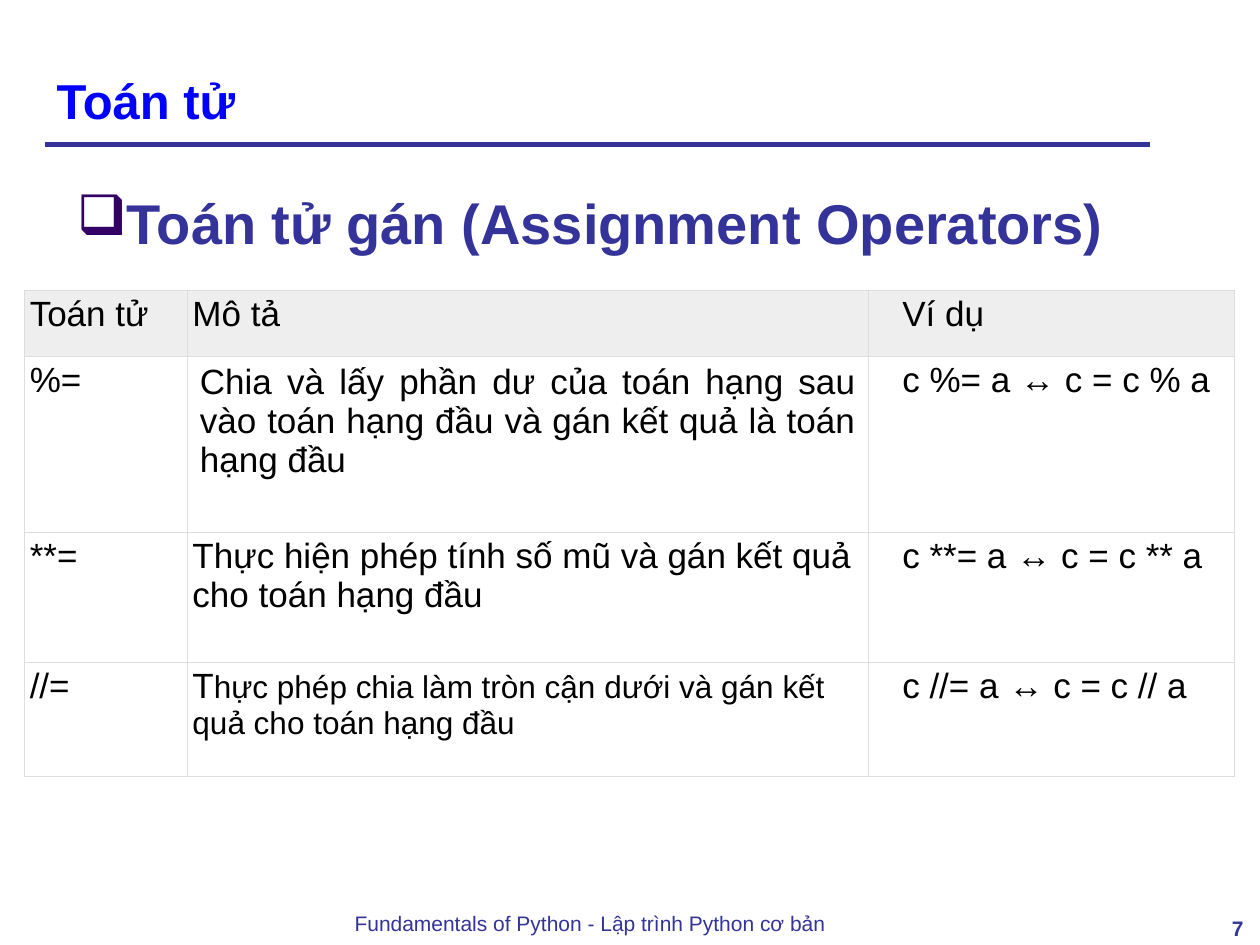
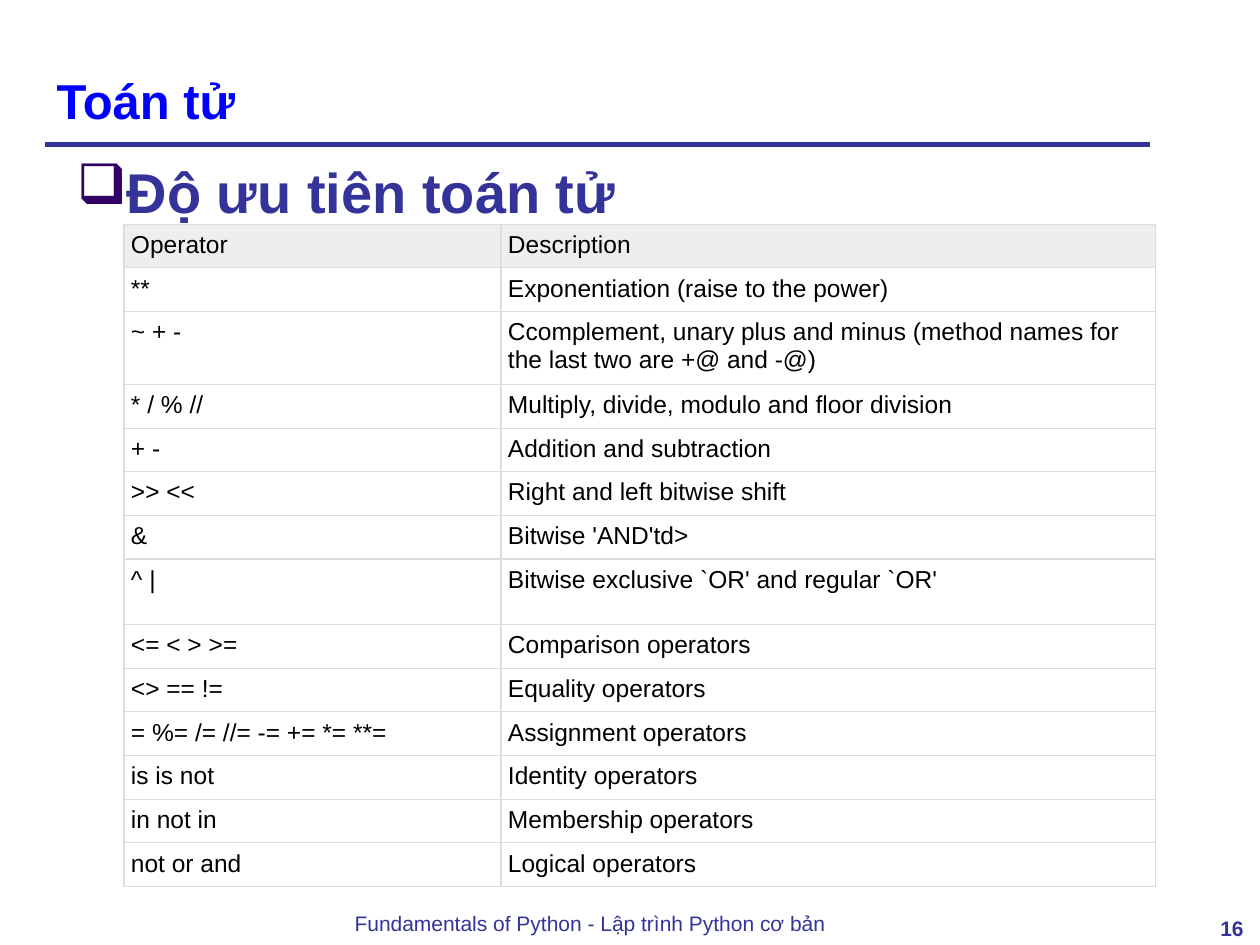
from dataclasses import dataclass

import pptx
import pptx.dml.color
import pptx.enum.shapes
import pptx.enum.text
import pptx.oxml
import pptx.oxml.ns
import pptx.util
from lxml import etree

Cm = pptx.util.Cm
Pt = pptx.util.Pt
Align = pptx.enum.text.PP_ALIGN
Anchor = pptx.enum.text.MSO_ANCHOR


@dataclass(frozen=True)
class Theme:
    """Colours (RRGGBB), type sizes and line widths (points) of the deck."""
    font: str = "Arial"
    title: str = "0000FF"
    accent: str = "333399"
    bullet: str = "330066"
    ink: str = "000000"
    head_fill: str = "EEEEEE"
    grid: str = "DDDDDD"
    title_size: int = 28
    heading_size: int = 32
    footer_size: int = 12
    operator_size: int = 20
    detail_size: int = 18
    priority_size: int = 14
    rule_width: float = 3
    grid_width: float = 0.75


@dataclass(frozen=True)
class Span:
    """A piece of text that differs from its paragraph."""
    text: str
    bold: bool = False
    size: int = 0


@dataclass(frozen=True)
class Cell:
    """Content of a table cell; margins are left, top, right, bottom in cm."""
    spans: tuple
    margins: tuple
    align: Align = Align.LEFT


THEME = Theme()
FOOTER = "Fundamentals of Python - Lập trình Python cơ bản"
TITLE = "Toán tử"
LINE_BOX = (0.91, 2.92, 22.28)
TITLE_BOX = (0.89, 0.53, 22, 2.21)
FOOTER_BOX = (1.4, 18.24, 21, 0.61)
NUMBER_BOX = (23.32, 18.34, 2, 0.61)
HEADING_SIZE = (22, 14.4)


def rgb(value):
    """Turn RRGGBB into a colour."""
    return pptx.dml.color.RGBColor.from_string(value)


def add_child(parent, tag, **attributes):
    """Append a DrawingML element with the given attributes."""
    return etree.SubElement(parent, pptx.oxml.ns.qn(tag), attributes)


def style(para, size, colour, bold=False, align=Align.LEFT):
    """Set the font and alignment of a paragraph."""
    para.alignment = align
    para.font.name = THEME.font
    para.font.size = Pt(size)
    para.font.bold = bold
    para.font.color.rgb = rgb(colour)


def add_text(page, box, text, size, colour, bold=False, align=Align.LEFT, anchor=Anchor.TOP):
    """Place one paragraph in a box given in cm and return the paragraph."""
    frame = page.shapes.add_textbox(*map(Cm, box)).text_frame
    frame.word_wrap = True
    frame.vertical_anchor = anchor
    para = frame.paragraphs[0]
    para.add_run().text = text
    style(para, size, colour, bold, align)
    return para


def add_rule(page, box):
    """Draw the line below the title; box is left, top, width."""
    left, top, width = box
    rule = page.shapes.add_connector(pptx.enum.shapes.MSO_CONNECTOR.STRAIGHT,
                                     Cm(left), Cm(top), Cm(left + width), Cm(top))
    rule.line.color.rgb = rgb(THEME.accent)
    rule.line.width = Pt(THEME.rule_width)
    add_child(rule._element.spPr, "a:effectLst")


def add_heading(page, box, text):
    """Place the large bulleted heading."""
    para = add_text(page, box, text, THEME.heading_size, THEME.accent, bold=True)
    para.line_spacing = 1.25
    properties = para._p.get_or_add_pPr()
    indent = Cm(0.95)
    properties.set("marL", str(indent))
    properties.set("indent", str(-indent))
    bullet = pptx.oxml.parse_xml(
        f'<a:buClr {pptx.oxml.ns.nsdecls("a")}><a:srgbClr val="{THEME.bullet}"/></a:buClr>')
    following = properties.find(pptx.oxml.ns.qn("a:defRPr"))
    character = etree.Element(pptx.oxml.ns.qn("a:buChar"), char="❑")
    for part in (bullet, character):
        if following is None:
            properties.append(part)
        else:
            following.addprevious(part)


def add_borders(cell):
    """Draw the thin grid line on all four sides of a cell."""
    properties = cell._tc.get_or_add_tcPr()
    for position, side in enumerate(("a:lnL", "a:lnR", "a:lnT", "a:lnB")):
        line = etree.Element(pptx.oxml.ns.qn(side), w=str(Pt(THEME.grid_width)))
        add_child(add_child(line, "a:solidFill"), "a:srgbClr", val=THEME.grid)
        properties.insert(position, line)


def fill_cell(cell, content, size, is_head):
    """Write and format one table cell."""
    cell.margin_left, cell.margin_top, cell.margin_right, cell.margin_bottom = map(
        Cm, content.margins)
    para = cell.text_frame.paragraphs[0]
    for span in content.spans:
        run = para.add_run()
        run.text = span.text
        if span.bold:
            run.font.bold = True
        if span.size:
            run.font.size = Pt(span.size)
    style(para, size, THEME.ink, align=content.align)
    if is_head:
        cell.fill.solid()
        cell.fill.fore_color.rgb = rgb(THEME.head_fill)
    else:
        cell.fill.background()
    add_borders(cell)


def add_grid(page, corner, widths, heights, rows, size):
    """Build a table from rows of Cell, with a grey first row."""
    box = (*corner, sum(widths), sum(heights))
    table = page.shapes.add_table(len(heights), len(widths), *map(Cm, box)).table
    table.first_row = table.horz_banding = False
    for column, width in zip(table.columns, widths):
        column.width = Cm(width)
    for row, height in zip(table.rows, heights):
        row.height = Cm(height)
    for index, contents in enumerate(rows):
        for cell, content in zip(table.rows[index].cells, contents):
            fill_cell(cell, content, size, index == 0)


def add_page(deck, number, heading, heading_top):
    """Add a page with title, rule, footer, number and heading."""
    page = deck.slides.add_slide(deck.slide_layouts[6])
    add_rule(page, LINE_BOX)
    add_text(page, FOOTER_BOX, FOOTER, THEME.footer_size, THEME.accent, align=Align.CENTER)
    add_text(page, TITLE_BOX, TITLE, THEME.title_size, THEME.title, bold=True,
             anchor=Anchor.BOTTOM)
    add_text(page, NUMBER_BOX, str(number), THEME.footer_size, THEME.accent, bold=True,
             align=Align.RIGHT)
    add_heading(page, (1.3, heading_top, *HEADING_SIZE), heading)
    return page


def add_assignment_table(page, corner):
    """Table of assignment operators with their meaning and an example."""
    tight = (0.1, 0.1, 0.1, 0.1)
    indented = (0.69, 0.1, 0.1, 0.1)
    roomy = (0.25, 0.13, 0.25, 0.13)
    meanings = {
        "%=": Cell((Span("Chia và lấy phần dư của toán hạng sau vào toán hạng đầu "
                         "và gán kết quả là toán hạng đầu"),), roomy, Align.JUSTIFY),
        "**=": Cell((Span("Thực hiện phép tính số mũ và gán kết quả cho toán hạng đầu"),), tight),
        "//=": Cell((Span("T"), Span("hực phép chia làm tròn cận dưới và gán kết quả "
                                     "cho toán hạng đầu", size=THEME.detail_size)), tight),
    }
    rows = [[Cell((Span("Toán tử"),), tight), Cell((Span("Mô tả"),), tight),
             Cell((Span("Ví dụ"),), indented)]]
    for operator, meaning in meanings.items():
        example = (Span(f"c {operator} a "), Span("↔", bold=True),
                   Span(f" c = c {operator[:-1]} a"))
        rows.append([Cell((Span(operator),), tight), meaning, Cell(example, indented)])
    add_grid(page, corner, (3.28, 13.72, 7.39), (1.33, 3.55, 2.62, 2.31), rows,
             THEME.operator_size)


def add_priority_table(page, corner):
    """Table of operators from highest to lowest priority."""
    margins = (0.14, 0.14, 0.14, 0.14)
    entries = (
        ("Operator", "Description"),
        ("**", "Exponentiation (raise to the power)"),
        ("~ + -", "Ccomplement, unary plus and minus (method names for the last two "
                  "are +@ and -@)"),
        ("* / % //", "Multiply, divide, modulo and floor division"),
        ("+ -", "Addition and subtraction"),
        (">> <<", "Right and left bitwise shift"),
        ("&", "Bitwise 'AND'td>"),
        ("^ |", "Bitwise exclusive `OR' and regular `OR'"),
        ("<= < > >=", "Comparison operators"),
        ("<> == !=", "Equality operators"),
        ("= %= /= //= -= += *= **=", "Assignment operators"),
        ("is is not", "Identity operators"),
        ("in not in", "Membership operators"),
        ("not or and", "Logical operators"),
    )
    tall_rows = {"~ + -": 1.47, "^ |": 1.32}
    heights = [tall_rows.get(operator, 0.88) for operator, _ in entries]
    rows = [[Cell((Span(text),), margins) for text in entry] for entry in entries]
    add_grid(page, corner, (7.6, 13.2), heights, rows, THEME.priority_size)


def main():
    """Build and save the deck."""
    deck = pptx.Presentation()
    deck.slide_width, deck.slide_height = Cm(25.4), Cm(19.05)
    page = add_page(deck, 7, "Toán tử gán (Assignment Operators)", 3.33)
    add_assignment_table(page, (0.5, 5.85))
    page = add_page(deck, 16, "Độ ưu tiên toán tử", 2.72)
    add_priority_table(page, (2.5, 4.52))
    deck.save("out.pptx")


main()
